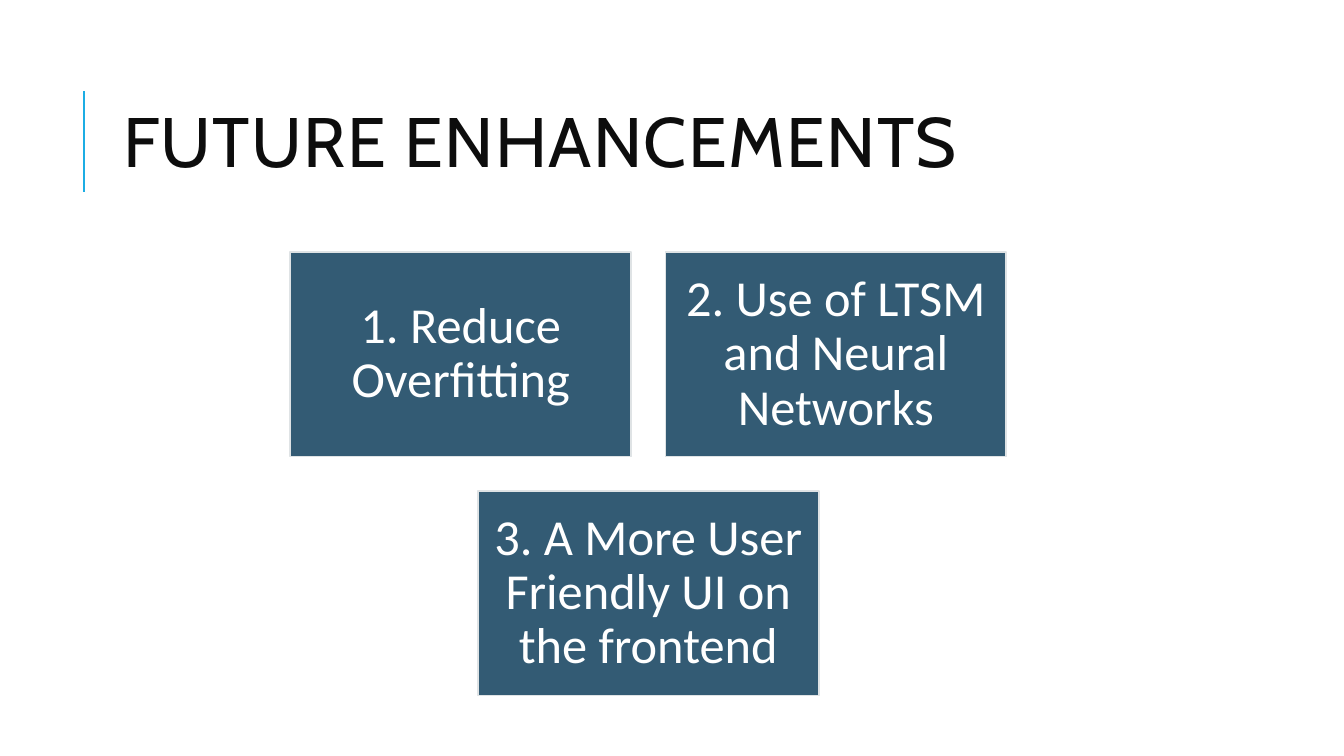
import dataclasses
import pptx
import pptx.util
import pptx.dml.color
import pptx.enum.shapes
import pptx.enum.text
import pptx.oxml.ns
import lxml.etree

TITLE = "FUTURE ENHANCEMENTS"
ROWS = [
    ["1. Reduce Overfitting", "2. Use of LTSM and Neural Networks"],
    ["3. A More User Friendly UI on the frontend"],
]


@dataclasses.dataclass(frozen=True)
class Theme:
    ink: str = "0D0D0D"
    line: str = "1CADE4"
    card: str = "335B74"
    edge: str = "DFE3E5"
    pale: str = "FFFFFF"
    head: str = "Cabin"
    body: str = "Calibri"
    big: int = 50
    mid: int = 36


LOOK = Theme()
WIDE, HIGH = 13.33, 7.5
CARD_W, CARD_H, GAP = 3.38, 2.03, 0.34
MID_X, TOP = 6.43, 2.5
PAD = 0.15

inch = pptx.util.Inches
point = pptx.util.Pt


def tint(code):
    return pptx.dml.color.RGBColor.from_string(code)


def write(frame, words, face, size, color, align, space):
    frame.word_wrap = True
    frame.auto_size = pptx.enum.text.MSO_AUTO_SIZE.NONE
    frame.vertical_anchor = pptx.enum.text.MSO_ANCHOR.MIDDLE
    para = frame.paragraphs[0]
    para.alignment = align
    para.line_spacing = space
    run = para.add_run()
    run.text = words
    run.font.name = face
    run.font.size = point(size)
    run.font.color.rgb = tint(color)
    return run


def add_head(slide):
    rule = slide.shapes.add_connector(
        pptx.enum.shapes.MSO_CONNECTOR.STRAIGHT,
        inch(0.83), inch(1.9), inch(0.83), inch(0.9))
    rule.line.color.rgb = tint(LOOK.line)
    rule.line.width = point(1.5)
    lxml.etree.SubElement(
        rule.element.spPr, pptx.oxml.ns.qn("a:effectLst"))

    title = slide.shapes.title
    title.left, title.top = inch(1.12), inch(0.64)
    title.width, title.height = inch(10.63), inch(1.64)
    run = write(title.text_frame, TITLE, LOOK.head, LOOK.big, LOOK.ink,
                pptx.enum.text.PP_ALIGN.LEFT, 0.8)
    run.font._element.set("spc", "100")


def add_card(slide, words, left, top):
    card = slide.shapes.add_shape(
        pptx.enum.shapes.MSO_SHAPE.RECTANGLE,
        inch(left), inch(top), inch(CARD_W), inch(CARD_H))
    card.shadow.inherit = False
    card.fill.solid()
    card.fill.fore_color.rgb = tint(LOOK.card)
    card.line.color.rgb = tint(LOOK.edge)
    card.line.width = point(1.25)
    frame = card.text_frame
    frame.margin_left = frame.margin_right = inch(PAD)
    frame.margin_top = frame.margin_bottom = inch(PAD)
    write(frame, words, LOOK.body, LOOK.mid, LOOK.pale,
          pptx.enum.text.PP_ALIGN.CENTER, 0.9)


def main():
    deck = pptx.Presentation()
    deck.slide_width, deck.slide_height = inch(WIDE), inch(HIGH)
    slide = deck.slides.add_slide(deck.slide_layouts[5])
    add_head(slide)
    for row, cards in enumerate(ROWS):
        span = len(cards) * (CARD_W + GAP) - GAP
        for col, words in enumerate(cards):
            left = MID_X - span / 2 + col * (CARD_W + GAP)
            add_card(slide, words, left, TOP + row * (CARD_H + GAP))
    deck.save("out.pptx")


if __name__ == "__main__":
    main()
